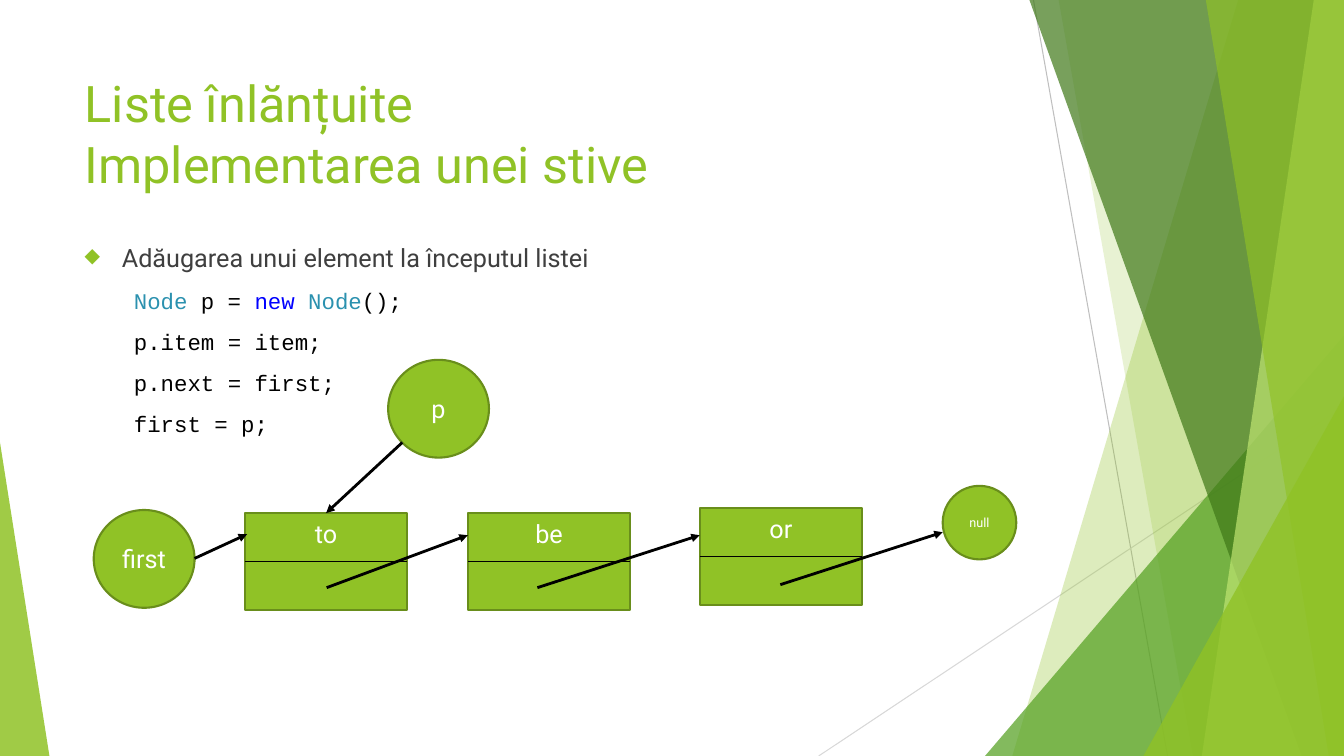
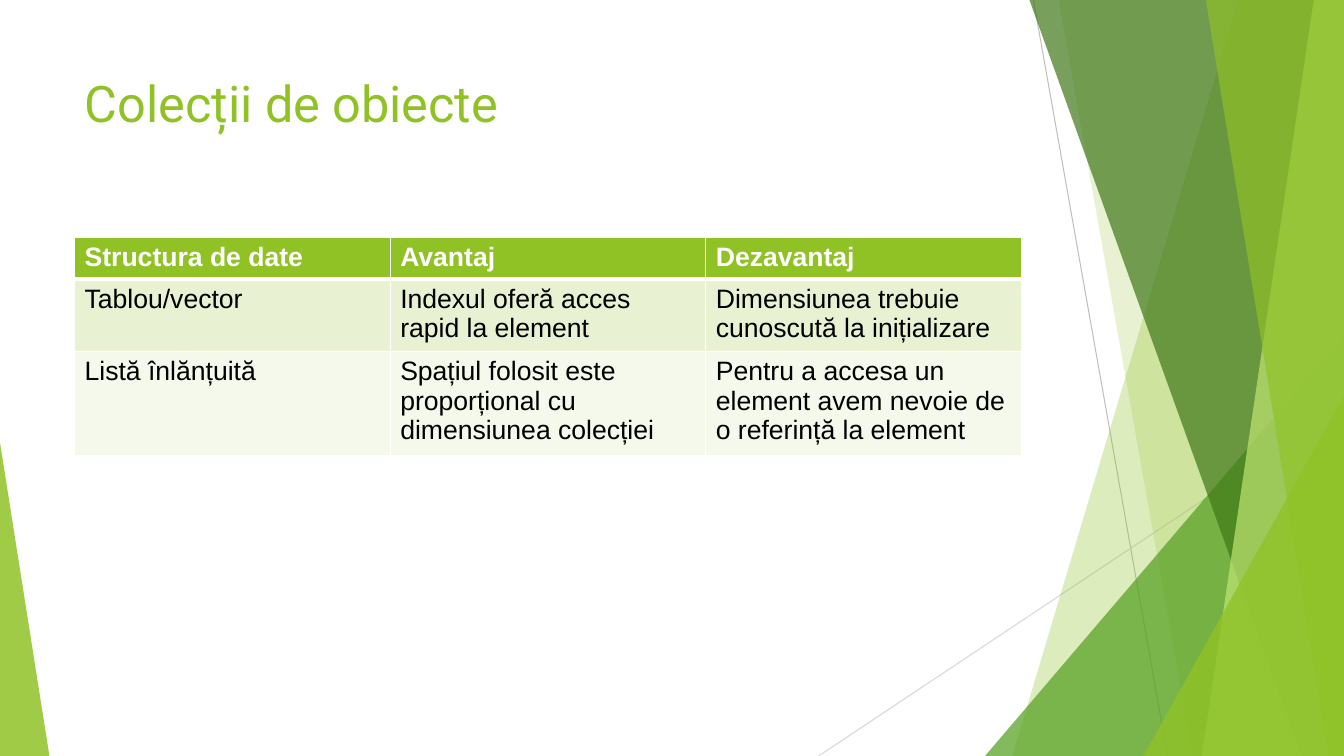
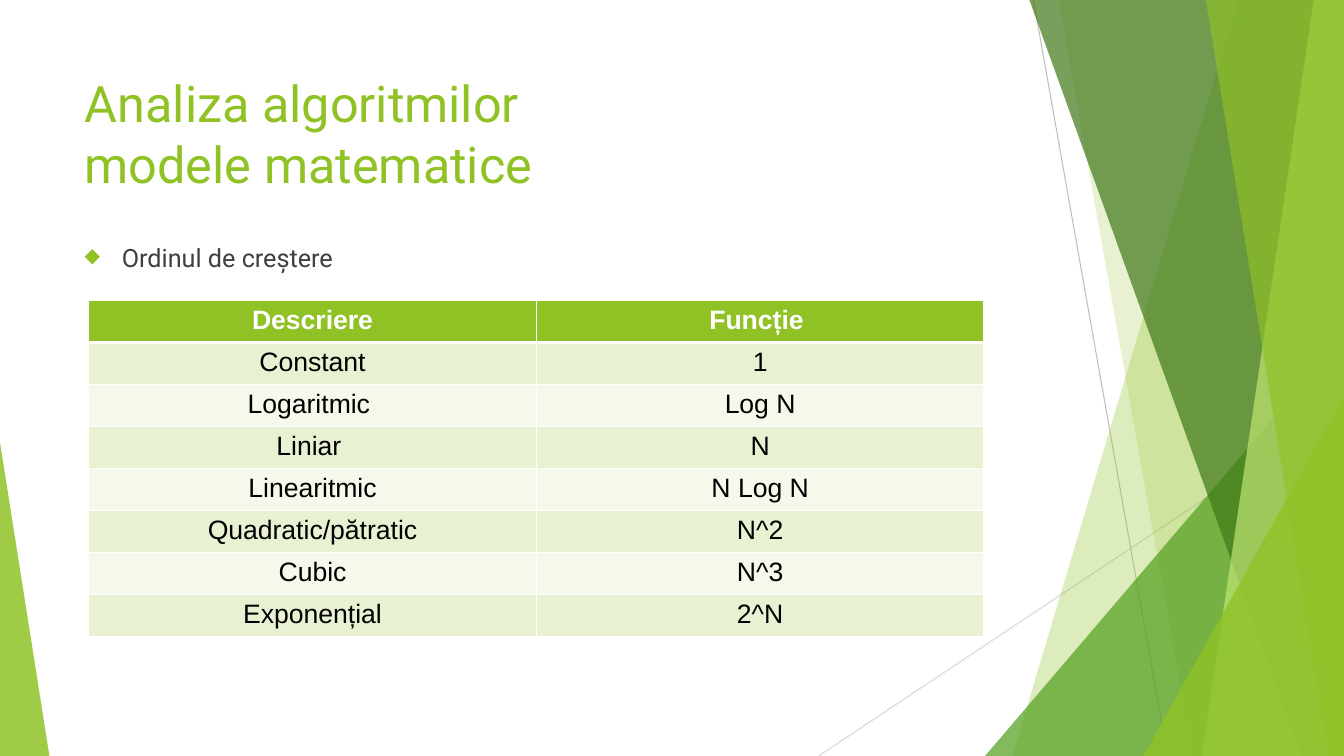
from lxml.etree import SubElement
from pptx import Presentation
from pptx.dml.color import RGBColor
from pptx.enum.shapes import MSO_CONNECTOR, MSO_SHAPE
from pptx.enum.text import MSO_ANCHOR, MSO_AUTO_SIZE, PP_ALIGN
from pptx.oxml.ns import qn
from pptx.util import Inches, Pt

WIDTH, HEIGHT = 13.33, 7.5
GREEN, DARK_GREEN, WHITE, BLACK = "90C226", "698E1B", "FFFFFF", "000000"
TEXT_GREY, TYPE_BLUE, KEYWORD_BLUE = "3F3F3F", "2B91AF", "0000FF"
BANDS = ("E8F2D3", "F4F9EB")
HEADING_FONT, TABLE_FONT, CODE_FONT = "Roboto", "Arial", "Courier New"
CONTENT_LEFT, CONTENT_TOP, CONTENT_WIDTH = 0.74, 2.36, 9.4


def rgb(value):
    """Turn a hex string into a colour."""
    return RGBColor.from_string(value)


def format_font(font, name, size, color, bold=False):
    """Set the face, size, colour and weight of a font."""
    font.name, font.size, font.bold = name, Pt(size), bold
    font.color.rgb = rgb(color)


def fill_shape(shape, color, opacity=100):
    """Give a shape a solid fill without shadow or outline."""
    shape.shadow.inherit = False
    shape.fill.solid()
    shape.fill.fore_color.rgb = rgb(color)
    shape.line.fill.background()
    if opacity < 100:
        color_element = shape.element.spPr.find(qn("a:solidFill"))[0]
        SubElement(color_element, qn("a:alpha"), val=str(opacity * 1000))


def add_line(slide, start, end, color, width, arrow=False):
    """Draw a straight line, optionally with an arrowhead at its end."""
    line = slide.shapes.add_connector(
        MSO_CONNECTOR.STRAIGHT, *(Inches(value) for value in (*start, *end)))
    line.line.color.rgb = rgb(color)
    line.line.width = Pt(width)
    if arrow:
        SubElement(line.line._get_or_add_ln(), qn("a:tailEnd"), type="triangle")
    SubElement(line.element.spPr, qn("a:effectLst"))
    return line


def add_polygon(slide, points, color, opacity):
    """Draw a closed translucent polygon."""
    corners = [(Inches(x), Inches(y)) for x, y in points]
    builder = slide.shapes.build_freeform(*corners[0])
    builder.add_line_segments(corners[1:], close=True)
    fill_shape(builder.convert_to_shape(), color, opacity)


def add_triangle(slide, left, top, width, apex, color, opacity):
    """Draw a translucent triangle standing on the bottom edge."""
    triangle = slide.shapes.add_shape(
        MSO_SHAPE.ISOSCELES_TRIANGLE, Inches(left), Inches(top),
        Inches(width), Inches(HEIGHT - top))
    triangle.adjustments[0] = apex
    fill_shape(triangle, color, opacity)


def add_right_band(slide, top_x, bottom_x, color, opacity):
    """Fill from a slanted edge to the right side of the slide."""
    points = [(top_x, 0), (WIDTH, 0), (WIDTH, HEIGHT), (bottom_x, HEIGHT)]
    add_polygon(slide, points, color, opacity)


def decorate_layout(slide):
    """Draw the facets and hand them over to the layout of the slide."""
    title_count = len(slide.shapes)
    add_line(slide, (10.25, 0), (11.58, HEIGHT), "BFBFBF", 0.75)
    add_line(slide, (WIDTH, 4.03), (8.12, HEIGHT), "D8D8D8", 0.75)
    add_right_band(slide, 12.28, 10.04, GREEN, 30)
    add_right_band(slide, 10.5, 11.83, GREEN, 20)
    add_triangle(slide, 9.77, 3.33, 3.56, 1, "54A021", 72)
    add_right_band(slide, 10.21, 12.91, "3F7818", 70)
    add_right_band(slide, 13.03, 11.92, "BFE471", 70)
    add_right_band(slide, 11.96, 13.18, GREEN, 65)
    add_triangle(slide, 11.34, 3.93, 1.99, 1, GREEN, 80)
    add_triangle(slide, 0, 4.39, 0.49, 0, GREEN, 85)
    for number, shape in enumerate(list(slide.shapes)[title_count:], 100):
        shape.element.xpath(".//p:cNvPr")[0].set("id", str(number))
        slide.slide_layout.shapes.element.append(shape.element)


def add_titled_slide(presentation, title):
    """Add a title-only slide and format its title."""
    slide = presentation.slides.add_slide(presentation.slide_layouts[5])
    shape = slide.shapes.title
    shape.left, shape.top = Inches(CONTENT_LEFT), Inches(0.67)
    shape.width, shape.height = Inches(CONTENT_WIDTH), Inches(1.44)
    frame = shape.text_frame
    frame.text = title
    frame.auto_size = MSO_AUTO_SIZE.NONE
    frame.vertical_anchor = MSO_ANCHOR.TOP
    paragraph = frame.paragraphs[0]
    paragraph.alignment = PP_ALIGN.LEFT
    format_font(paragraph.font, HEADING_FONT, 36, GREEN)
    for run in paragraph.runs:
        format_font(run.font, HEADING_FONT, 36, GREEN)
    return slide


def indent_paragraph(paragraph, margin, first_line):
    """Set the left margin and first-line indent of a paragraph."""
    properties = paragraph._p.get_or_add_pPr()
    properties.set("marL", str(Inches(margin)))
    properties.set("indent", str(Inches(first_line)))
    return properties


def add_body(slide, bullet, code_lines=()):
    """Add a bulleted sentence followed by coloured lines of code."""
    box = slide.shapes.add_textbox(
        Inches(CONTENT_LEFT), Inches(CONTENT_TOP), Inches(CONTENT_WIDTH), Inches(4.24))
    frame = box.text_frame
    frame.word_wrap = True
    frame.text = bullet
    paragraph = frame.paragraphs[0]
    format_font(paragraph.runs[0].font, HEADING_FONT, 18, TEXT_GREY)
    properties = indent_paragraph(paragraph, 0.37, -0.37)
    bullet_color = SubElement(properties, qn("a:buClr"))
    SubElement(bullet_color, qn("a:srgbClr"), val=GREEN)
    SubElement(properties, qn("a:buSzPct"), val="80000")
    SubElement(properties, qn("a:buChar"), char="◆")
    for pieces in code_lines:
        paragraph = frame.add_paragraph()
        paragraph.space_before = Pt(10)
        indent_paragraph(paragraph, 0.5, -0.01)
        for text, color in pieces:
            run = paragraph.add_run()
            run.text = text
            format_font(run.font, CODE_FONT, 16, color)


def add_label_shape(slide, kind, left, top, width, height, text, size=18):
    """Add a green outlined shape with a centred white label."""
    shape = slide.shapes.add_shape(
        kind, Inches(left), Inches(top), Inches(width), Inches(height))
    fill_shape(shape, GREEN)
    shape.line.color.rgb = rgb(DARK_GREEN)
    shape.line.width = Pt(1.5)
    frame = shape.text_frame
    frame.text = text
    frame.vertical_anchor = MSO_ANCHOR.MIDDLE
    paragraph = frame.paragraphs[0]
    paragraph.alignment = PP_ALIGN.CENTER
    format_font(paragraph.runs[0].font, HEADING_FONT, size, WHITE)
    return shape


def add_node(slide, left, top, text):
    """Add a list node: a rectangle split by a line at half height."""
    width, height = 1.61, 0.96
    node = add_label_shape(slide, MSO_SHAPE.RECTANGLE, left, top, width, height, text)
    node.text_frame.vertical_anchor = MSO_ANCHOR.TOP
    middle = top + height / 2
    divider = add_line(slide, (left, middle), (left + width, middle), BLACK, 1)
    divider.begin_connect(node, 1)
    divider.end_connect(node, 3)
    return node


def set_borders(cell, top, bottom):
    """Give a cell white borders with the top and bottom widths in points."""
    properties = cell._tc.get_or_add_tcPr()
    for side, width in (("L", 1), ("R", 1), ("T", top), ("B", bottom)):
        border = SubElement(properties, qn(f"a:ln{side}"), w=str(Pt(width)))
        fill = SubElement(border, qn("a:solidFill"))
        SubElement(fill, qn("a:srgbClr"), val=WHITE)


def add_banded_table(slide, left, top, column_width, row_heights, rows, alignment):
    """Add a table with a green header and alternating bands."""
    column_count = len(rows[0])
    table = slide.shapes.add_table(
        len(rows), column_count, Inches(left), Inches(top),
        Inches(column_width * column_count), Inches(sum(row_heights))).table
    table.horz_banding = False
    for column in table.columns:
        column.width = Inches(column_width)
    for index, (values, height) in enumerate(zip(rows, row_heights)):
        table.rows[index].height = Inches(height)
        header = index == 0
        for cell, value in zip(table.rows[index].cells, values):
            set_borders(cell, 3 if index == 1 else 1, 3 if header else 1)
            cell.fill.solid()
            cell.fill.fore_color.rgb = rgb(GREEN if header else BANDS[(index - 1) % 2])
            cell.text = value
            paragraph = cell.text_frame.paragraphs[0]
            paragraph.alignment = alignment
            format_font(paragraph.runs[0].font, TABLE_FONT, 19,
                        WHITE if header else BLACK, header)


def build_stack_slide(presentation):
    """Show how an element is added to the head of a linked list."""
    slide = add_titled_slide(presentation, "Liste înlănțuite\vImplementarea unei stive")
    decorate_layout(slide)
    add_body(slide, "Adăugarea unui element la începutul listei", [
        [("Node", TYPE_BLUE), (" p = ", BLACK), ("new ", KEYWORD_BLUE),
         ("Node", TYPE_BLUE), ("();", BLACK)],
        [("p.item = item;", BLACK)],
        [("p.next = first;", BLACK)],
        [("first = p;", BLACK)],
    ])
    first_node = add_node(slide, 2.43, 5.09, "to")
    add_node(slide, 4.64, 5.09, "be")
    add_node(slide, 6.94, 5.04, "or")
    add_label_shape(slide, MSO_SHAPE.OVAL, 3.85, 3.57, 1, 0.97, "p")
    add_label_shape(slide, MSO_SHAPE.OVAL, 0.93, 5.06, 1, 0.97, "first")
    add_label_shape(slide, MSO_SHAPE.OVAL, 9.35, 4.82, 0.73, 0.73, "null", 9)
    pointer = add_line(slide, (3.99, 4.39), (3.24, 5.09), BLACK, 2, arrow=True)
    pointer.end_connect(first_node, 0)
    for start, end in (
        ((1.93, 5.54), (2.45, 5.3)),
        ((3.24, 5.83), (4.64, 5.31)),
        ((5.33, 5.83), (6.94, 5.31)),
        ((7.74, 5.8), (9.35, 5.28)),
    ):
        add_line(slide, start, end, BLACK, 2, arrow=True)


def build_collections_slide(presentation):
    """Compare arrays and linked lists."""
    slide = add_titled_slide(presentation, "Colecții de obiecte")
    add_banded_table(slide, CONTENT_LEFT, CONTENT_TOP, 3.13, (0.41, 0.72, 1.03), [
        ("Structura de date", "Avantaj", "Dezavantaj"),
        ("Tablou/vector", "Indexul oferă acces rapid la element",
         "Dimensiunea trebuie cunoscută la inițializare"),
        ("Listă înlănțuită", "Spațiul folosit este proporțional cu dimensiunea colecției",
         "Pentru a accesa un element avem nevoie de o referință la element"),
    ], PP_ALIGN.LEFT)


def build_growth_slide(presentation):
    """List the common orders of growth."""
    slide = add_titled_slide(presentation, "Analiza algoritmilor\vmodele matematice")
    add_body(slide, "Ordinul de creștere")
    rows = [
        ("Descriere", "Funcție "),
        ("Constant", "1"),
        ("Logaritmic ", "Log N"),
        ("Liniar ", "N"),
        ("Linearitmic", "N Log N"),
        ("Quadratic/pătratic", "N^2"),
        ("Cubic", "N^3"),
        ("Exponențial", "2^N"),
    ]
    add_banded_table(slide, 0.88, 2.98, 4.44, [0.41] * len(rows), rows, PP_ALIGN.CENTER)


def main():
    """Build and save the presentation."""
    presentation = Presentation()
    presentation.slide_width = Inches(WIDTH)
    presentation.slide_height = Inches(HEIGHT)
    build_stack_slide(presentation)
    build_collections_slide(presentation)
    build_growth_slide(presentation)
    presentation.save("out.pptx")


if __name__ == "__main__":
    main()
